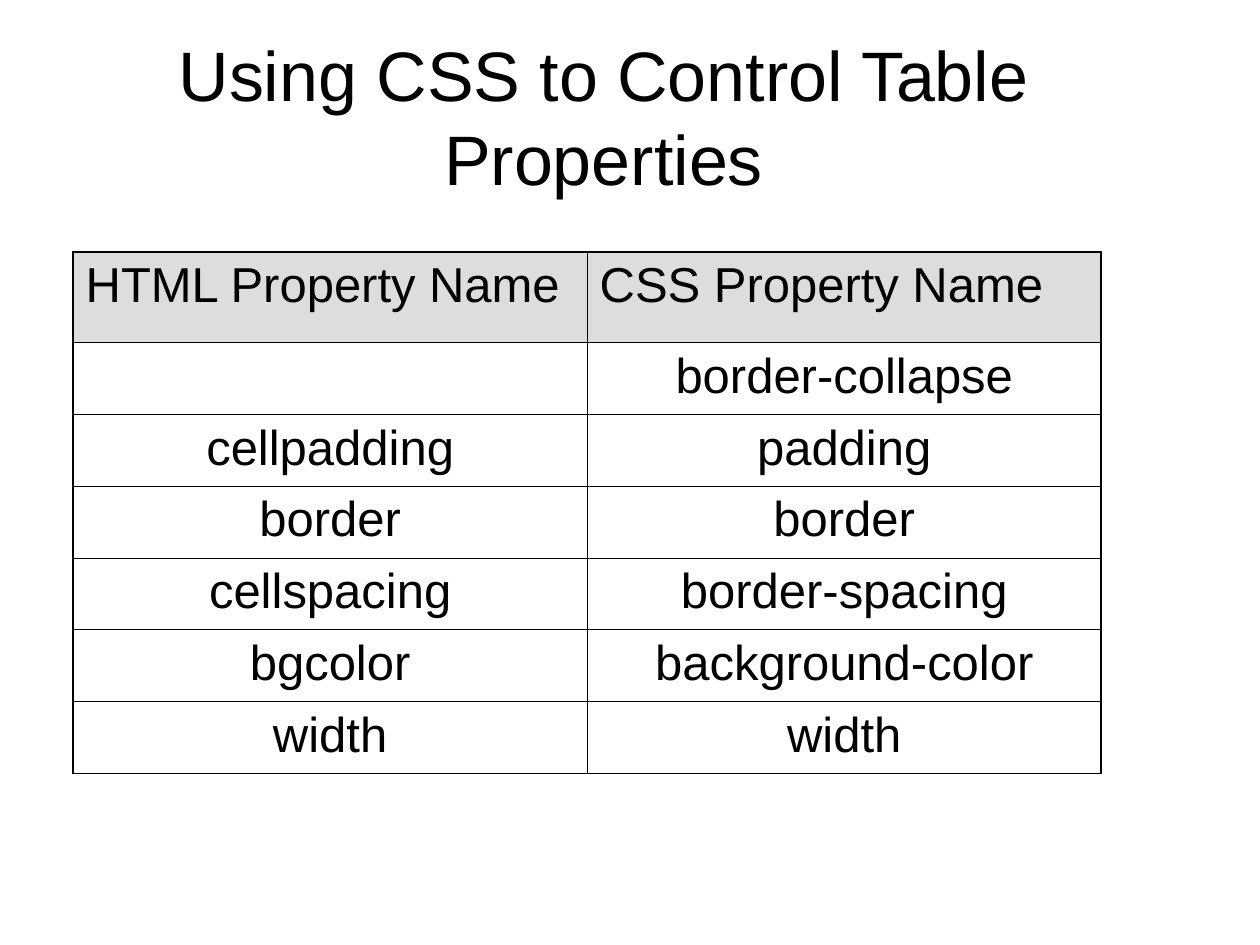
from lxml import etree
from pptx import Presentation
from pptx.dml.color import RGBColor
from pptx.enum.text import MSO_ANCHOR, PP_ALIGN
from pptx.oxml.ns import qn
from pptx.util import Inches, Pt

CENTER, LEFT = PP_ALIGN.CENTER, PP_ALIGN.LEFT
MIDDLE = MSO_ANCHOR.MIDDLE

# Content
TITLE = "Using CSS to Control Table Properties"
ROWS = [
    ("HTML Property Name", "CSS Property Name"),
    ("", "border-collapse"),
    ("cellpadding", "padding"),
    ("border", "border"),
    ("cellspacing", "border-spacing"),
    ("bgcolor", "background-color"),
    ("width", "width"),
]
COLORS = {"text": "000000", "border": "000000", "header": "DDDDDD", "background": "FFFFFF"}
FONT = "Arial"
HEADER_HEIGHT, ROW_HEIGHT = 0.72, 0.57
COLUMN_WIDTH = 4.08
OUTER_LINE, INNER_LINE = Pt(1.08), Pt(0.45)


def format_text(paragraph, size, alignment):
    paragraph.alignment = alignment
    for run in paragraph.runs:
        run.font.name = FONT
        run.font.size = Pt(size)
        run.font.color.rgb = RGBColor.from_string(COLORS["text"])


def set_borders(cell, widths):
    properties = cell._tc.get_or_add_tcPr()
    for position, (side, width) in enumerate(widths.items()):
        line = etree.Element(qn(f"a:ln{side}"), w=str(width))
        fill = etree.SubElement(line, qn("a:solidFill"))
        etree.SubElement(fill, qn("a:srgbClr"), val=COLORS["border"])
        properties.insert(position, line)


presentation = Presentation()
presentation.slide_width, presentation.slide_height = Inches(10), Inches(7.5)
slide = presentation.slides.add_slide(presentation.slide_layouts[6])
slide.background.fill.solid()
slide.background.fill.fore_color.rgb = RGBColor.from_string(COLORS["background"])

# Title
title = slide.shapes.add_textbox(Inches(0.25), Inches(0.33), Inches(9.08), Inches(1.17))
title.text_frame.word_wrap = True
title.text_frame.vertical_anchor = MIDDLE
title.text_frame.text = TITLE
title_paragraph = title.text_frame.paragraphs[0]
title_paragraph.line_spacing = Pt(48)
format_text(title_paragraph, 40, CENTER)

# Property table
row_count, column_count = len(ROWS), len(ROWS[0])
heights = [HEADER_HEIGHT] + [ROW_HEIGHT] * (row_count - 1)
table = slide.shapes.add_table(
    row_count, column_count, Inches(0.58), Inches(2),
    Inches(COLUMN_WIDTH * column_count), Inches(sum(heights)),
).table
for column in table.columns:
    column.width = Inches(COLUMN_WIDTH)

for row_index, (values, height) in enumerate(zip(ROWS, heights)):
    table.rows[row_index].height = Inches(height)
    is_header = row_index == 0
    for column_index, value in enumerate(values):
        cell = table.cell(row_index, column_index)
        cell.margin_left = cell.margin_right = Inches(0.1)
        cell.margin_top = cell.margin_bottom = Inches(0.05)
        if is_header:
            cell.fill.solid()
            cell.fill.fore_color.rgb = RGBColor.from_string(COLORS["header"])
        else:
            cell.fill.background()
        cell.text_frame.text = value
        paragraph = cell.text_frame.paragraphs[0]
        paragraph.space_before = Pt(7)
        format_text(paragraph, 28, LEFT if is_header else CENTER)

        # Heavier lines around the outside of the grid
        on_edge = {
            "L": column_index == 0,
            "R": column_index == column_count - 1,
            "T": is_header,
            "B": row_index == row_count - 1,
        }
        set_borders(cell, {side: OUTER_LINE if edge else INNER_LINE
                           for side, edge in on_edge.items()})

presentation.save("out.pptx")
